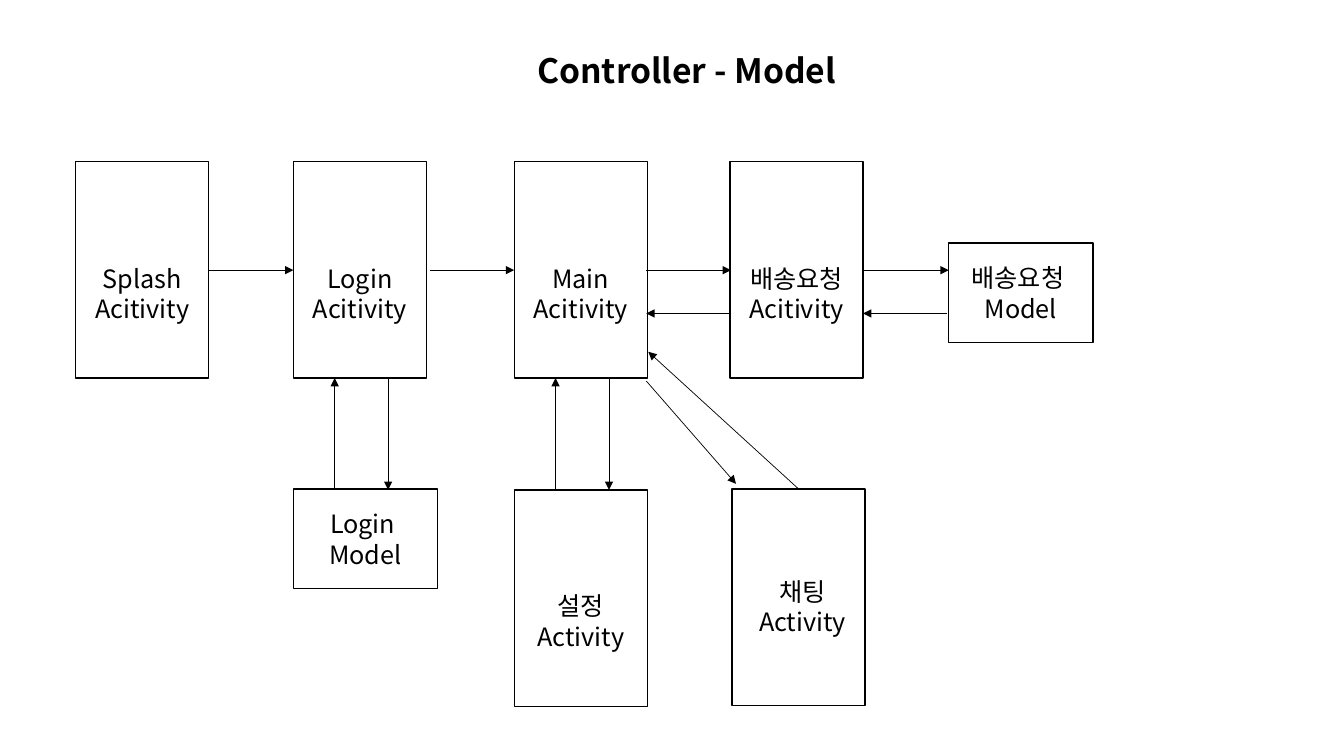
from dataclasses import dataclass

from lxml.etree import SubElement
from pptx import Presentation
from pptx.dml.color import RGBColor
from pptx.enum.shapes import MSO_CONNECTOR, MSO_SHAPE
from pptx.enum.text import MSO_ANCHOR, MSO_AUTO_SIZE, PP_ALIGN
from pptx.oxml.ns import qn
from pptx.util import Inches, Pt


@dataclass(frozen=True)
class Theme:
    ink: RGBColor = RGBColor(0, 0, 0)
    paper: RGBColor = RGBColor(255, 255, 255)
    font: str = "Noto Sans CJK KR"
    title_size: int = 24
    label_size: int = 18
    border: float = 1
    arrow: float = 0.5


THEME = Theme()
ACTIVITY_SIZE = (1.32, 2.15)
MODEL_SIZE = (1.43, 0.99)
LABEL_HEIGHT = 0.71
LOGIN_X, MAIN_X, DELIVERY_X = 2.91, 5.1, 7.24
TOP_ROW, LOWER_ROW = 1.6, 4.86
TOP_ROW_BOTTOM = TOP_ROW + ACTIVITY_SIZE[1]
FORWARD_Y, BACK_Y = 2.68, 3.11
UP_X, DOWN_X = 0.41, 0.94

ACTIVITIES = [
    ("Splash Acitivity", 0.75, TOP_ROW, 0, 0.96),
    ("Login Acitivity", LOGIN_X, TOP_ROW, 0, 0.96),
    ("Main Acitivity", MAIN_X, TOP_ROW, 0, 0.96),
    ("배송요청 Acitivity", DELIVERY_X, TOP_ROW, 0, 0.96),
    ("설정 Activity", MAIN_X, LOWER_ROW, 0, 0.95),
    ("채팅\nActivity", 7.26, 4.85, 0.04, 0.82),
]
MODELS = [
    ("배송요청 \nModel", 9.41, 2.41),
    ("Login \nModel", LOGIN_X, 4.85),
]
FORWARD_ARROWS = [(2.07, 2.91), (4.26, 5.1), (6.41, 7.25), (8.56, 9.41)]
BACK_ARROWS = [(7.24, 6.41), (9.39, 8.56)]
CHAT_ARROWS = [((6.41, 3.78), (7.3, 4.8)), ((7.92, 4.85), (6.43, 3.49))]


def write_text(text_frame, text, size, bold=False, align=PP_ALIGN.CENTER):
    text_frame.text = text
    for paragraph in text_frame.paragraphs:
        paragraph.alignment = align
        for run in paragraph.runs:
            run.font.size = Pt(size)
            run.font.bold = bold
            run.font.name = THEME.font
            run.font.color.rgb = THEME.ink
            east_asian = SubElement(run.font._element, qn("a:ea"))
            east_asian.set("typeface", THEME.font)


def add_box(shapes, left, top, size):
    box = shapes.add_shape(
        MSO_SHAPE.RECTANGLE, Inches(left), Inches(top), *map(Inches, size)
    )
    box.shadow.inherit = False
    box.line.color.rgb = THEME.ink
    box.line.width = Pt(THEME.border)
    return box


def add_title(slide, text):
    title = slide.shapes.add_textbox(
        Inches(5.23), Inches(0.45), Inches(3.21), Inches(0.5)
    )
    title.text_frame.word_wrap = False
    title.text_frame.auto_size = MSO_AUTO_SIZE.SHAPE_TO_FIT_TEXT
    write_text(title.text_frame, text, THEME.title_size, True, PP_ALIGN.LEFT)


def add_activity(slide, text, left, top, label_dx, label_dy):
    group = slide.shapes.add_group_shape()
    add_box(group.shapes, left, top, ACTIVITY_SIZE).fill.background()
    label = group.shapes.add_textbox(
        Inches(left + label_dx),
        Inches(top + label_dy),
        Inches(ACTIVITY_SIZE[0]),
        Inches(LABEL_HEIGHT),
    )
    label.text_frame.word_wrap = True
    label.text_frame.auto_size = MSO_AUTO_SIZE.SHAPE_TO_FIT_TEXT
    write_text(label.text_frame, text, THEME.label_size)


def add_model(slide, text, left, top):
    model = add_box(slide.shapes, left, top, MODEL_SIZE)
    model.fill.solid()
    model.fill.fore_color.rgb = THEME.paper
    model.text_frame.vertical_anchor = MSO_ANCHOR.MIDDLE
    write_text(model.text_frame, text, THEME.label_size)


def add_arrow(slide, start, end):
    arrow = slide.shapes.add_connector(
        MSO_CONNECTOR.STRAIGHT, *map(Inches, start + end)
    )
    arrow.line.color.rgb = THEME.ink
    arrow.line.width = Pt(THEME.arrow)
    SubElement(arrow.line._get_or_add_ln(), qn("a:tailEnd")).set("type", "triangle")
    SubElement(arrow._element.spPr, qn("a:effectLst"))


def main():
    presentation = Presentation()
    presentation.slide_width = Inches(13.33)
    presentation.slide_height = Inches(7.5)
    slide = presentation.slides.add_slide(presentation.slide_layouts[6])

    add_title(slide, "Controller - Model")
    for activity in ACTIVITIES:
        add_activity(slide, *activity)
    for model in MODELS:
        add_model(slide, *model)

    for arrows, y in ((FORWARD_ARROWS, FORWARD_Y), (BACK_ARROWS, BACK_Y)):
        for start_x, end_x in arrows:
            add_arrow(slide, (start_x, y), (end_x, y))
    for left in (LOGIN_X, MAIN_X):
        add_arrow(slide, (left + UP_X, LOWER_ROW), (left + UP_X, TOP_ROW_BOTTOM))
        add_arrow(slide, (left + DOWN_X, TOP_ROW_BOTTOM), (left + DOWN_X, LOWER_ROW))
    for start, end in CHAT_ARROWS:
        add_arrow(slide, start, end)

    presentation.save("out.pptx")


main()
